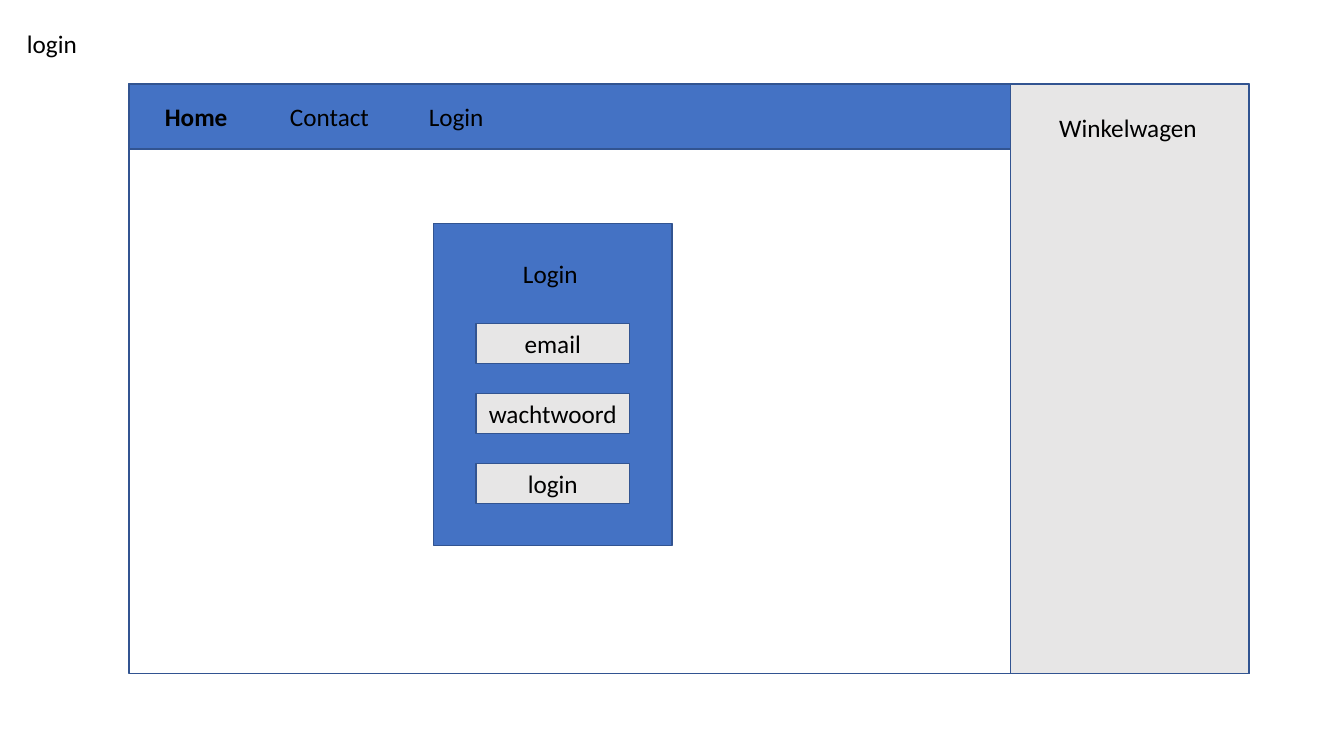
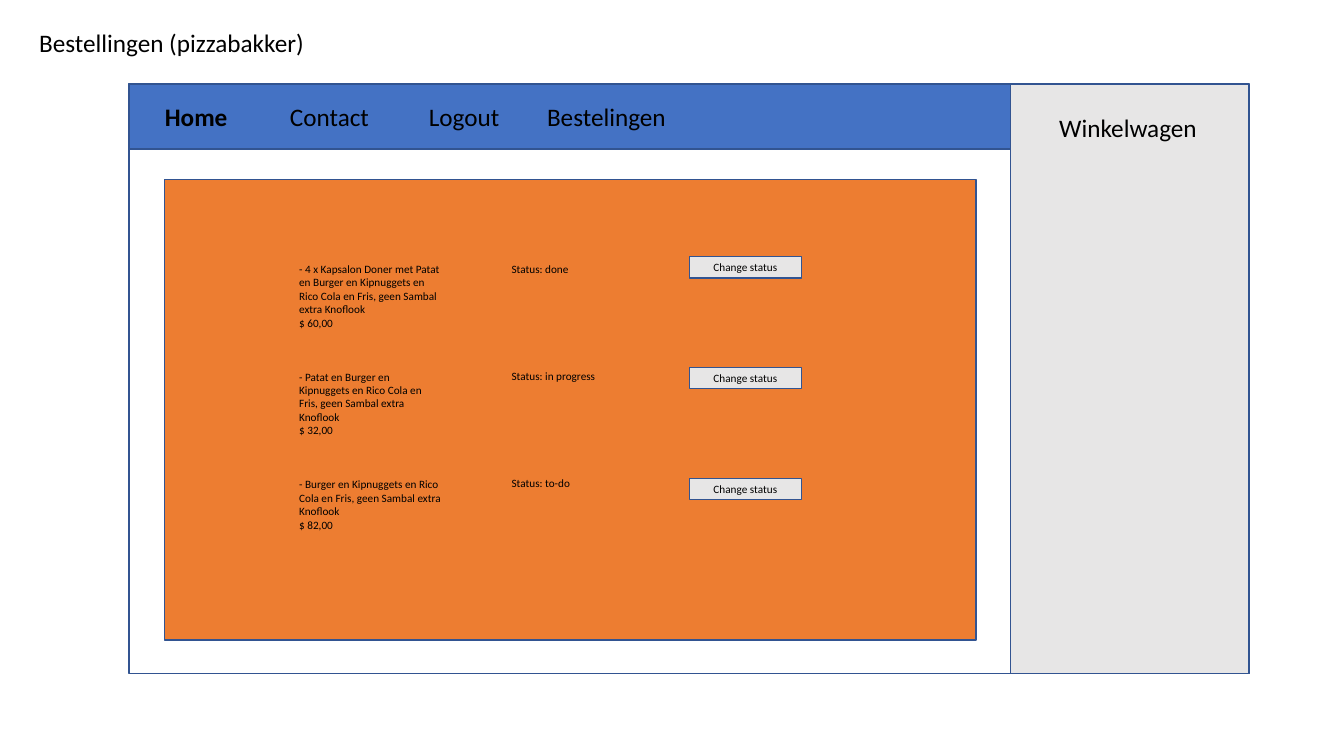
from pptx import Presentation
from pptx.dml.color import RGBColor
from pptx.enum import shapes, text
from pptx.util import Pt

FONT = "Calibri"
BLACK, WHITE, GREY = "000000", "FFFFFF", "E7E6E6"
BLUE, ORANGE, OUTLINE = "4472C4", "ED7D31", "325491"
LARGE, SMALL = 18, 8
LABEL_HEIGHT = 29
FRAME_LEFT, FRAME_TOP, FRAME_WIDTH, FRAME_HEIGHT = 92.2, 60, 800, 421
CART_WIDTH = 170.4
MAIN_WIDTH = FRAME_WIDTH - CART_WIDTH
NAV_HEIGHT, NAV_TEXT_TOP = 46.6, 68.6
NAV_LEFTS = (110.7, 200, 299.2, 383.7)
ORDERS_TOP = 183.8
ORDERS = (
    ("- 4 x Kapsalon Doner met Patat en Burger en Kipnuggets en "
     "Rico Cola en Fris, geen Sambal extra Knoflook", "$ 60,00"),
    ("- Patat en Burger en Kipnuggets en Rico Cola en Fris, "
     "geen Sambal extra Knoflook", "$ 32,00"),
    ("- Burger en Kipnuggets en Rico Cola en Fris, "
     "geen Sambal extra Knoflook", "$ 82,00"),
)
STATUSES = ("done", "in progress", "to-do")


def color(value):
    """Turn a hex string into a colour."""
    return RGBColor.from_string(value)


def add_run(paragraph, words, size, bold=False):
    """Add one styled run to a paragraph."""
    run = paragraph.add_run()
    run.text = words
    run.font.name = FONT
    run.font.size = Pt(size)
    run.font.bold = bold
    run.font.color.rgb = color(BLACK)


def add_box(slide, left, top, width, height, fill, label="", size=LARGE):
    """Add an outlined rectangle with an optional centred label."""
    shape = slide.shapes.add_shape(
        shapes.MSO_SHAPE.RECTANGLE, Pt(left), Pt(top), Pt(width), Pt(height))
    shape.shadow.inherit = False
    shape.fill.solid()
    shape.fill.fore_color.rgb = color(fill)
    shape.line.color.rgb = color(OUTLINE)
    shape.line.width = Pt(1)
    if label:
        frame = shape.text_frame
        frame.vertical_anchor = text.MSO_ANCHOR.MIDDLE
        paragraph = frame.paragraphs[0]
        paragraph.alignment = text.PP_ALIGN.CENTER
        add_run(paragraph, label, size)


def add_text(slide, left, top, width, height, lines, size=LARGE, bold=False):
    """Add a text box from (words, space after) pairs."""
    frame = slide.shapes.add_textbox(
        Pt(left), Pt(top), Pt(width), Pt(height)).text_frame
    frame.word_wrap = True
    for index, (words, gap) in enumerate(lines):
        paragraph = frame.add_paragraph() if index else frame.paragraphs[0]
        paragraph.space_after = Pt(gap)
        add_run(paragraph, words, size, bold)


def add_label(slide, left, top, width, words, bold=False):
    """Add a single line of large text."""
    add_text(slide, left, top, width, LABEL_HEIGHT, [(words, 0)], bold=bold)


def add_page(presentation, title, title_left, title_top, title_width, menu):
    """Add a slide with the title, page frame, menu and shopping cart."""
    slide = presentation.slides.add_slide(presentation.slide_layouts[6])
    cart_left = FRAME_LEFT + MAIN_WIDTH
    add_box(slide, FRAME_LEFT, FRAME_TOP, FRAME_WIDTH, FRAME_HEIGHT, WHITE)
    add_box(slide, cart_left, FRAME_TOP, CART_WIDTH, FRAME_HEIGHT, GREY)
    add_box(slide, FRAME_LEFT, FRAME_TOP, MAIN_WIDTH, NAV_HEIGHT, BLUE)
    for left, words in zip(NAV_LEFTS, menu):
        width = 113 if words == "Bestelingen" else 76.3
        add_label(slide, left, NAV_TEXT_TOP, width, words, words == "Home")
    add_label(slide, 749.5, 77, 123, "Winkelwagen")
    add_label(slide, title_left, title_top, title_width, title)
    return slide


def add_login_page(presentation):
    """Add the page with the login form."""
    slide = add_page(presentation, "login", 12.2, 16.6, 117.4,
                     ("Home", "Contact", "Login"))
    add_box(slide, 309.6, 159.8, 170.6, 229.7, BLUE)
    add_label(slide, 366.5, 181, 67.7, "Login")
    for row, words in enumerate(("email", "wachtwoord", "login")):
        add_box(slide, 340, 231.2 + 50 * row, 109.7, 28.6, GREY, words)


def add_orders_page(presentation):
    """Add the page where the baker tracks orders."""
    slide = add_page(presentation, "Bestellingen (pizzabakker)",
                     20.9, 16, 216.7,
                     ("Home", "Contact", "Logout", "Bestelingen"))
    add_box(slide, 117.4, 128.3, 579.8, 329, ORANGE)
    order_lines = [line for dish, price in ORDERS
                   for line in ((dish, 0), (price, 29))]
    add_text(slide, 206.6, ORDERS_TOP, 116.6, 269.3, order_lines, SMALL)
    status_lines = [(f"Status: {status}", 67) for status in STATUSES]
    add_text(slide, 358.3, ORDERS_TOP, 116.6, 200.9, status_lines, SMALL)
    for row in range(len(ORDERS)):
        add_box(slide, 492.5, 183.4 + 79.2 * row, 79.9, 15.1, GREY,
                "Change status", SMALL)


def main():
    """Build and save the presentation."""
    presentation = Presentation()
    presentation.slide_width = Pt(960)
    presentation.slide_height = Pt(540)
    add_login_page(presentation)
    add_orders_page(presentation)
    presentation.save("out.pptx")


main()
